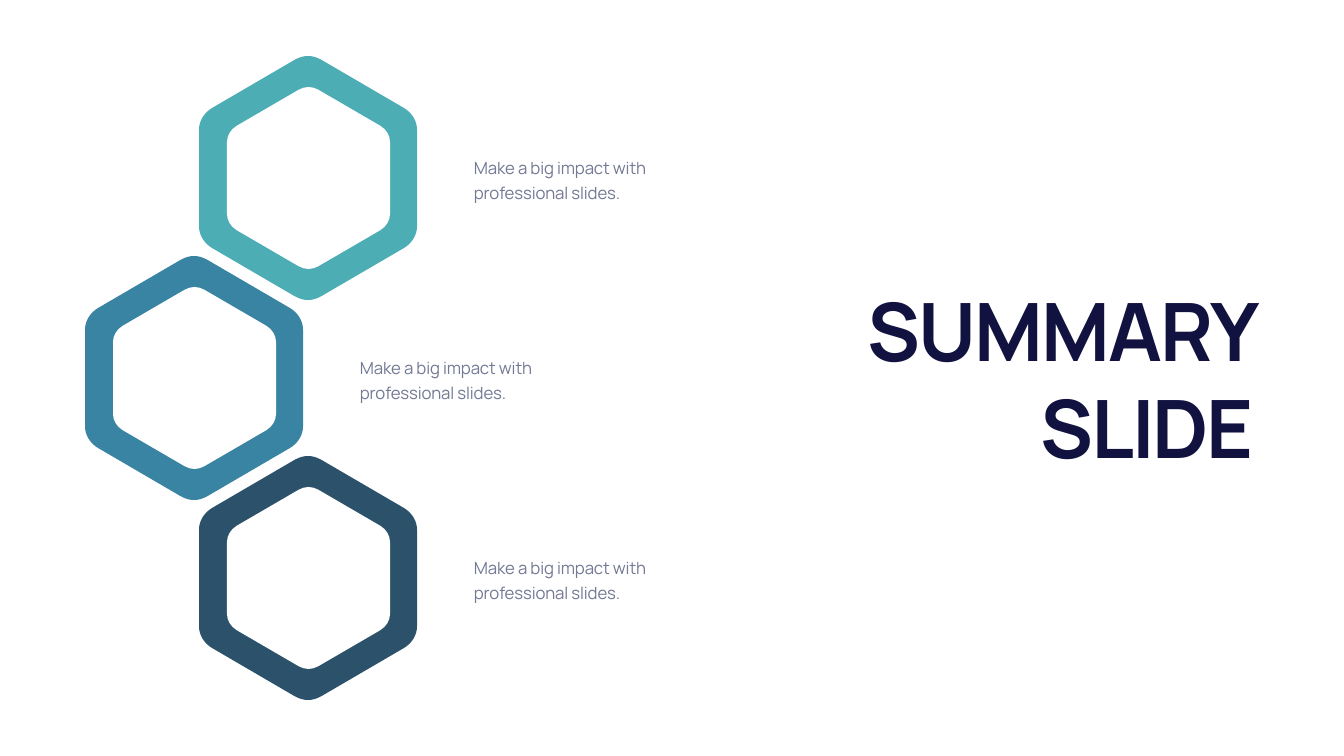
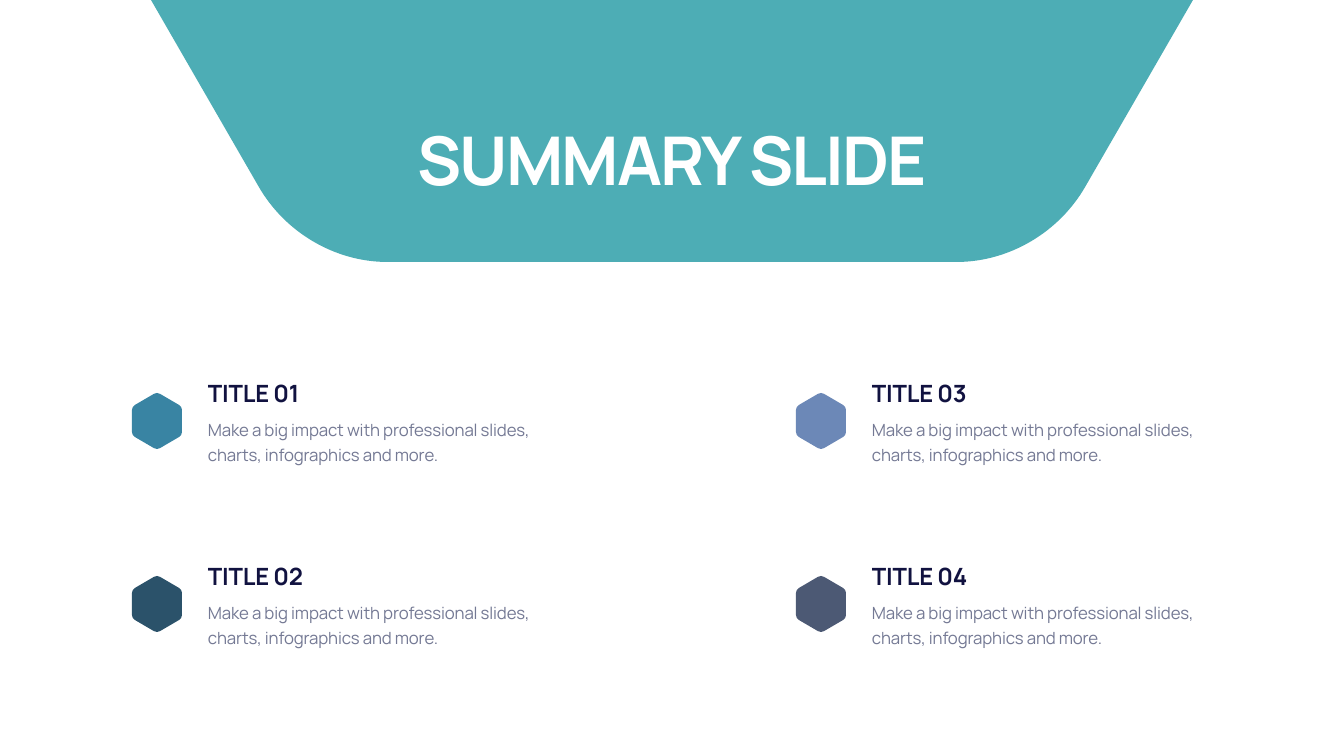
from lxml.etree import SubElement
from pptx import Presentation
from pptx.dml.color import RGBColor
from pptx.enum.text import MSO_ANCHOR, MSO_AUTO_SIZE, PP_ALIGN
from pptx.oxml.ns import qn
from pptx.util import Emu, Pt

SCALE = 914400 / 50.4
FONT = "Manrope"
WHITE = RGBColor(0xFF, 0xFF, 0xFF)
NAVY = RGBColor(0x11, 0x12, 0x40)
GRAY = RGBColor(0x74, 0x79, 0x94)
TEAL = RGBColor(0x4D, 0xAD, 0xB5)
BLUE = RGBColor(0x39, 0x84, 0xA3)
DEEP = RGBColor(0x2B, 0x52, 0x6A)
PERIWINKLE = RGBColor(0x6C, 0x88, 0xB7)
SLATE = RGBColor(0x4C, 0x59, 0x74)

HALF_HEXAGON = [
    [(0.44, 0.015), (0.48, -0.005), (0.52, -0.005), (0.56, 0.015)],
    [(0.94, 0.213), (0.977, 0.233), (1, 0.266), (1, 0.302)],
    [(1, 0.698), (1, 0.734), (0.977, 0.767), (0.94, 0.787)],
]
HEXAGON = HALF_HEXAGON + [
    [(1 - x, 1 - y) for x, y in corner] for corner in HALF_HEXAGON
]
BAND_CORNER = [(0.897, 0.71), (0.872, 0.885), (0.824, 1), (0.773, 1)]
BAND = [
    [(0, 0)],
    [(1, 0)],
    BAND_CORNER,
    [(1 - x, y) for x, y in reversed(BAND_CORNER)],
]


def px(length):
    """Turn pixels into EMU."""
    return Emu(round(length * SCALE))


def add_command(outline, name, points):
    """Append one drawing command with its points."""
    command = SubElement(outline, qn(name))
    for x, y in points:
        SubElement(command, qn("a:pt"), x=str(x), y=str(y))


def add_outline(page, corners, left, top, width, height, color):
    """Draw a filled outline whose sharp or curved corners are fractions of its box."""
    right, bottom = left + width, top + height
    builder = page.shapes.build_freeform(px(left), px(top), scale=1.0)
    builder.add_line_segments([
        (px(right), px(top)), (px(right), px(bottom)), (px(left), px(bottom))
    ])
    shape = builder.convert_to_shape()
    outline = shape._element.find(".//" + qn("a:path"))
    for command in list(outline):
        outline.remove(command)
    for index, corner in enumerate(corners):
        points = [(px(x * width), px(y * height)) for x, y in corner]
        add_command(outline, "a:lnTo" if index else "a:moveTo", points[:1])
        if len(points) > 1:
            add_command(outline, "a:cubicBezTo", points[1:])
    SubElement(outline, qn("a:close"))
    shape.shadow.inherit = False
    shape.fill.solid()
    shape.fill.fore_color.rgb = color
    shape.line.fill.background()


def add_text(page, text, left, top, width, height, size, color, bold=False,
             spacing=-0.2, anchor=MSO_ANCHOR.TOP, align=PP_ALIGN.LEFT, leading=None):
    """Place one paragraph in a wrapping text box."""
    box = page.shapes.add_textbox(px(left), px(top), px(width), px(height))
    frame = box.text_frame
    frame.word_wrap = True
    frame.auto_size = MSO_AUTO_SIZE.SHAPE_TO_FIT_TEXT
    frame.vertical_anchor = anchor
    para = frame.paragraphs[0]
    para.alignment = align
    if leading:
        para.line_spacing = Pt(leading)
    span = para.add_run()
    span.text = text
    span.font.name = FONT
    span.font.size = Pt(size)
    span.font.bold = bold
    span.font.color.rgb = color
    span.font._element.set("spc", str(round(spacing * 100)))


def add_title(page, left, top, width, height, size, color, anchor, align):
    """Place the slide title."""
    add_text(page, "SUMMARY SLIDE", left, top, width, height, size, color,
             bold=True, spacing=-2.9, anchor=anchor, align=align)


def add_body(page, text, left, top, width, anchor=MSO_ANCHOR.TOP):
    """Place a two-line description."""
    add_text(page, text, left, top, width, 54, 24, GRAY, anchor=anchor, leading=36)


def add_ring(page, left, top, color):
    """Draw a hexagon ring with its description to the right."""
    add_outline(page, HEXAGON, left, top, 218, 244, color)
    add_outline(page, HEXAGON, left + 28, top + 31, 163, 182, WHITE)
    add_body(page, "Make a big impact with professional slides.",
             left + 270, top + 95, 206, MSO_ANCHOR.MIDDLE)


def add_item(page, heading, left, top, color):
    """Draw a hexagon bullet with a heading and a description."""
    add_outline(page, HEXAGON, left, top + 17, 50, 56, color)
    add_text(page, heading, left + 71, top, 344, 34, 34, NAVY, bold=True,
             spacing=-0.3, anchor=MSO_ANCHOR.BOTTOM)
    add_body(page, "Make a big impact with professional slides, "
             "charts, infographics and more.", left + 71, top + 36, 344)


def build_ring_slide(page):
    """Fill the slide with staggered rings and a title on the right."""
    add_title(page, 772, 278, 487, 200, 115, NAVY, MSO_ANCHOR.MIDDLE, PP_ALIGN.RIGHT)
    for index, color in enumerate((TEAL, BLUE, DEEP)):
        add_ring(page, 85 if index % 2 else 199, 56 + 200 * index, color)


def build_item_slide(page):
    """Fill the slide with a title band and a grid of items."""
    add_outline(page, BAND, 151, 0, 1042, 262, TEAL)
    add_title(page, 84, 114, 1176, 87, 96, WHITE, MSO_ANCHOR.BOTTOM, PP_ALIGN.CENTER)
    for index, color in enumerate((BLUE, DEEP, PERIWINKLE, SLATE)):
        column, row = divmod(index, 2)
        add_item(page, f"TITLE {index + 1:02}", 132 + 664 * column,
                 376 + 183 * row, color)


deck = Presentation()
deck.slide_width, deck.slide_height = px(1344), px(756)
for build in (build_ring_slide, build_item_slide):
    build(deck.slides.add_slide(deck.slide_layouts[6]))
deck.save("out.pptx")
